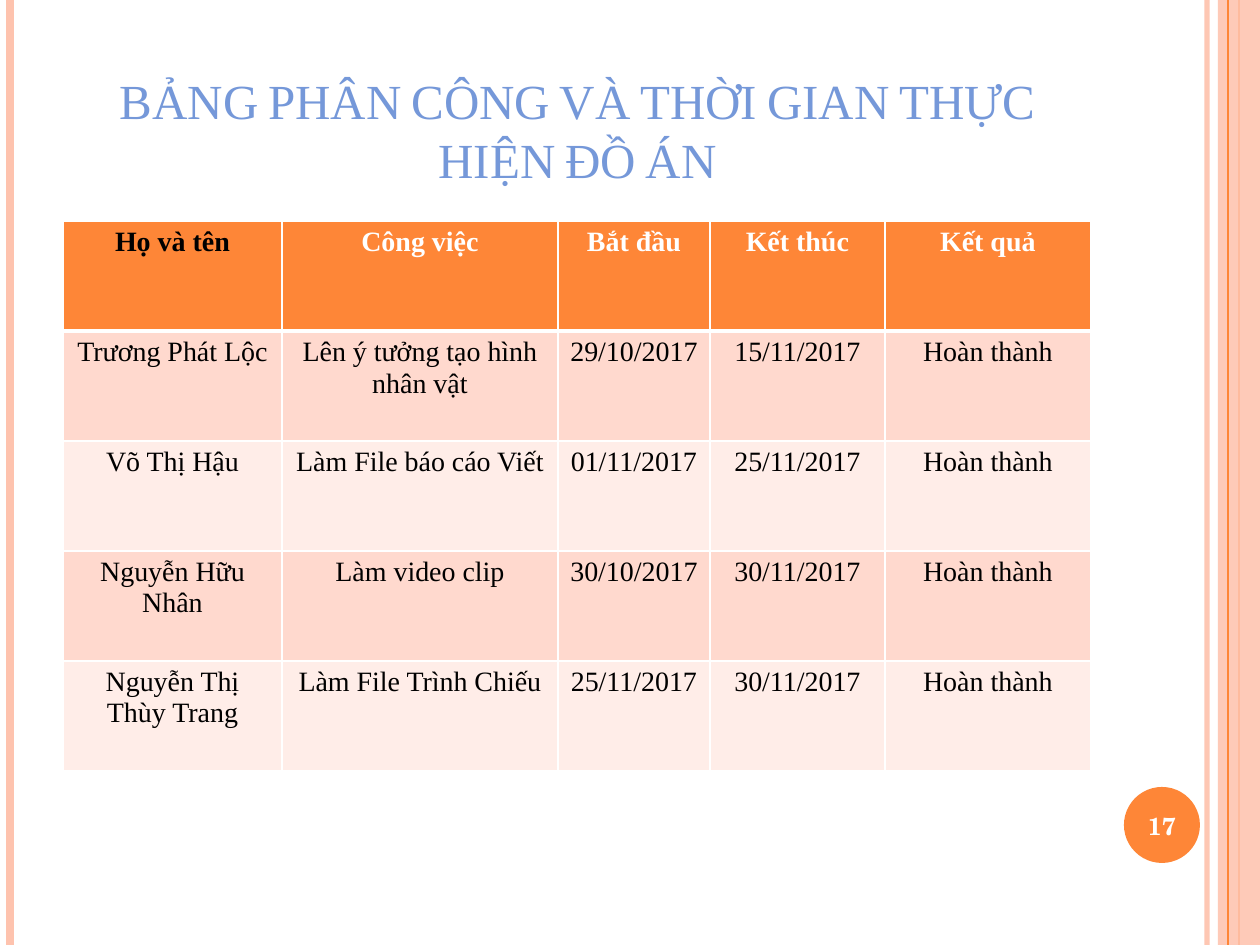
from dataclasses import dataclass

from lxml import etree
from pptx import Presentation
from pptx.dml.color import RGBColor
from pptx.enum.shapes import MSO_CONNECTOR, MSO_SHAPE
from pptx.enum.text import MSO_ANCHOR, PP_ALIGN
from pptx.oxml.ns import qn
from pptx.util import Pt

EMU_PER_INCH = 914400
PX_PER_INCH = 126
STRAIGHT = MSO_CONNECTOR.STRAIGHT
RECTANGLE = MSO_SHAPE.RECTANGLE
OVAL = MSO_SHAPE.OVAL
CENTER = PP_ALIGN.CENTER
MIDDLE = MSO_ANCHOR.MIDDLE
BOTTOM = MSO_ANCHOR.BOTTOM

SLIDE_WIDTH, SLIDE_HEIGHT = 1260, 945
ORANGE, PEACH, WHITE, BLACK = "FE8637", "FEC3AE", "FFFFFF", "000000"
TITLE_BLUE = "7598D9"
BAND_FILLS = ("FFD9CE", "FFEDE8")
SERIF, SCHOOLBOOK = "Times New Roman", "TeX Gyre Schola"


@dataclass
class Stripe:
    x: int
    color: str
    width: float
    opacity: int = 100


@dataclass
class Block:
    preset: int
    box: tuple
    color: str
    opacity: int = 100


@dataclass
class TextStyle:
    size: int
    font: str
    color: str
    bold: bool = False


OUTER_STRIPES = (
    Stripe(1207, PEACH, 3, 93),
    Stripe(10, PEACH, 4.5),
    Stripe(1239, ORANGE, 1.5),
)
SIDE_BAND = Block(RECTANGLE, (1218, 0, 42, SLIDE_HEIGHT), PEACH, 87)
INNER_STRIPE = Stripe(1228, ORANGE, 0.75)
NUMBER_BADGE = Block(OVAL, (1124, 787, 76, 76), ORANGE)

COLUMN_WIDTHS = (219, 276, 152, 175, 206)
ROW_HEIGHT = 110
HEADINGS = ("Họ và tên", "Công việc", "Bắt đầu", "Kết thúc", "Kết quả")
DONE = "Hoàn thành"
ASSIGNMENTS = (
    ("Trương Phát Lộc", "Lên ý tưởng tạo hình nhân vật", "29/10/2017", "15/11/2017", DONE),
    ("Võ Thị Hậu", "Làm File báo cáo Viết", "01/11/2017", "25/11/2017", DONE),
    ("Nguyễn Hữu Nhân", "Làm video clip", "30/10/2017", "30/11/2017", DONE),
    ("Nguyễn Thị Thùy Trang", "Làm File Trình Chiếu", "25/11/2017", "30/11/2017", DONE),
)


def px(length: int) -> int:
    return round(length * EMU_PER_INCH / PX_PER_INCH)


def place(box: tuple) -> list:
    return [px(length) for length in box]


def rgb(color: str) -> RGBColor:
    return RGBColor.from_string(color)


def set_opacity(element, opacity: int) -> None:
    if opacity < 100:
        tint = next(element.iter(qn("a:srgbClr")))
        etree.SubElement(tint, qn("a:alpha"), val=str(opacity * 1000))


def draw_stripe(slide, stripe: Stripe) -> None:
    line = slide.shapes.add_connector(
        STRAIGHT, px(stripe.x), 0, px(stripe.x), px(SLIDE_HEIGHT)
    )
    line.line.color.rgb = rgb(stripe.color)
    line.line.width = Pt(stripe.width)
    properties = line._element.spPr
    set_opacity(properties, stripe.opacity)
    etree.SubElement(properties, qn("a:effectLst"))


def draw_block(slide, block: Block) -> None:
    shape = slide.shapes.add_shape(block.preset, *place(block.box))
    shape.shadow.inherit = False
    shape.fill.solid()
    shape.fill.fore_color.rgb = rgb(block.color)
    shape.line.fill.background()
    set_opacity(shape._element.spPr, block.opacity)


def write(frame, text: str, style: TextStyle):
    paragraph = frame.paragraphs[0]
    paragraph.alignment = CENTER
    run = paragraph.add_run()
    run.text = text
    run.font.size = Pt(style.size)
    run.font.name = style.font
    run.font.bold = style.bold
    run.font.color.rgb = rgb(style.color)
    return run


def draw_title(slide, text: str) -> None:
    title = slide.shapes.title
    title.left, title.top, title.width, title.height = place((63, 38, 1029, 157))
    title.text_frame.word_wrap = True
    title.text_frame.vertical_anchor = BOTTOM
    run = write(title.text_frame, text, TextStyle(28, SERIF, TITLE_BLUE))
    run.font._element.set("cap", "small")


def draw_page_number(slide, number: str) -> None:
    label = slide.shapes.add_textbox(*place((1120, 790, 84, 72)))
    label.text_frame.word_wrap = True
    label.text_frame.vertical_anchor = MIDDLE
    write(label.text_frame, number, TextStyle(14, SCHOOLBOOK, WHITE, True))


def draw_borders(cell, top: int, bottom: int) -> None:
    properties = cell._tc.get_or_add_tcPr()
    for side, width in (("lnL", 1), ("lnR", 1), ("lnT", top), ("lnB", bottom)):
        border = etree.SubElement(properties, qn(f"a:{side}"), w=str(Pt(width)))
        fill = etree.SubElement(border, qn("a:solidFill"))
        etree.SubElement(fill, qn("a:srgbClr"), val=WHITE)


def draw_schedule(slide) -> None:
    rows = (HEADINGS, *ASSIGNMENTS)
    box = (63, 221, sum(COLUMN_WIDTHS), ROW_HEIGHT * len(rows))
    schedule = slide.shapes.add_table(len(rows), len(HEADINGS), *place(box)).table
    for column, width in zip(schedule.columns, COLUMN_WIDTHS):
        column.width = px(width)
    for row_index, values in enumerate(rows):
        schedule.rows[row_index].height = px(ROW_HEIGHT)
        header = row_index == 0
        fill = ORANGE if header else BAND_FILLS[(row_index - 1) % 2]
        for column_index, value in enumerate(values):
            cell = schedule.cell(row_index, column_index)
            cell.margin_left = cell.margin_right = px(11)
            cell.margin_top = cell.margin_bottom = px(6)
            draw_borders(cell, 3 if row_index == 1 else 1, 3 if header else 1)
            cell.fill.solid()
            cell.fill.fore_color.rgb = rgb(fill)
            color = WHITE if header and column_index > 0 else BLACK
            write(cell.text_frame, value, TextStyle(16, SERIF, color, header))


def main() -> None:
    deck = Presentation()
    deck.slide_width, deck.slide_height = px(SLIDE_WIDTH), px(SLIDE_HEIGHT)
    slide = deck.slides.add_slide(deck.slide_layouts[5])
    for stripe in OUTER_STRIPES:
        draw_stripe(slide, stripe)
    draw_block(slide, SIDE_BAND)
    draw_stripe(slide, INNER_STRIPE)
    draw_block(slide, NUMBER_BADGE)
    draw_title(slide, "BẢNG PHÂN CÔNG VÀ THỜI GIAN THỰC HIỆN ĐỒ ÁN")
    draw_schedule(slide)
    draw_page_number(slide, "17")
    deck.save("out.pptx")


if __name__ == "__main__":
    main()
